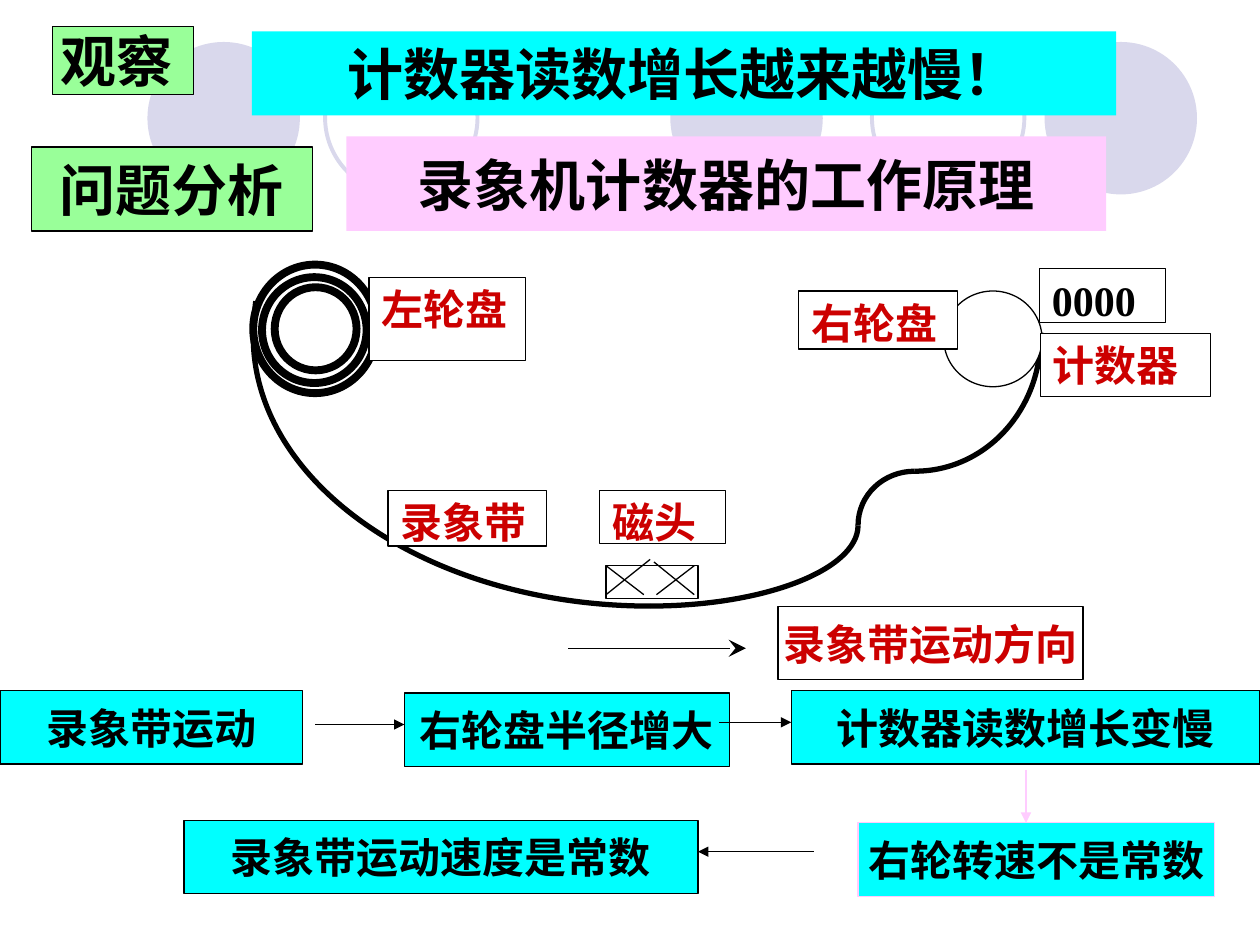
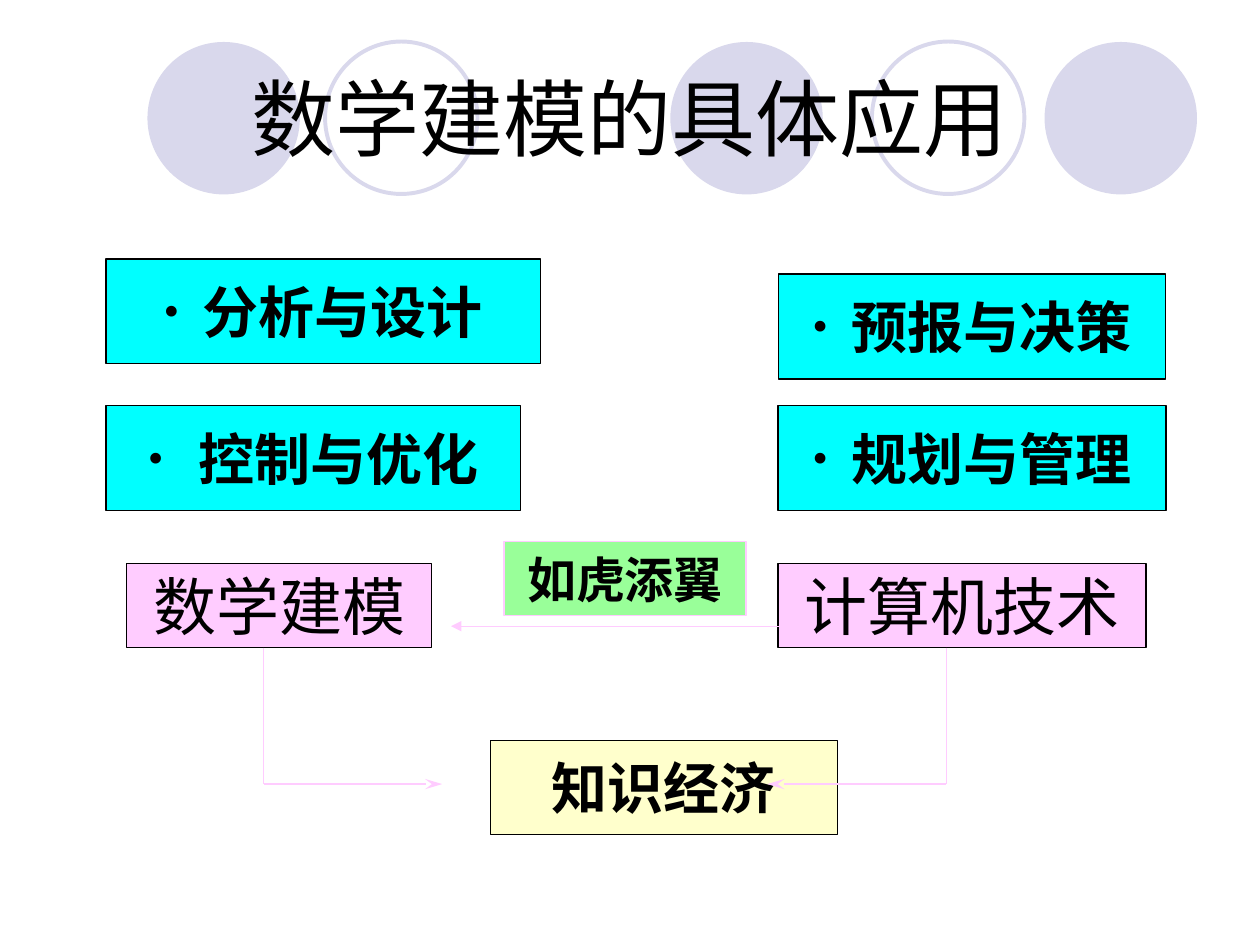
"""Two slides on a tape counter and on uses of mathematical modelling."""
from lxml import etree
from pptx import Presentation
from pptx import util as u
from pptx.dml.color import RGBColor
from pptx.enum import shapes, text
from pptx.oxml import ns

WIDTH, HEIGHT = u.Inches(10), u.Inches(7.5)
COLUMNS, ROWS = 100, 75
COLORS = {
    "ink": "000000", "paper": "FFFFFF", "red": "CC0000", "cyan": "00FFFF",
    "pink": "FFCCFF", "green": "99FF99", "cream": "FFFFCC", "lilac": "D9D8EC",
}
SANS, SERIF = "Noto Sans CJK SC", "Times New Roman"
THIN, TAPE, REEL = 0.75, 3, 4.5


def col(count):
    """Return the length of a number of grid columns."""
    return round(WIDTH * count / COLUMNS)


def row(count):
    """Return the length of a number of grid rows."""
    return round(HEIGHT * count / ROWS)


def rgb(name):
    """Return a named colour."""
    return RGBColor.from_string(COLORS[name])


def add_part(parent, tag, **attributes):
    """Append a drawing element to a parent element."""
    return etree.SubElement(parent, ns.qn(tag), attributes)


def paint(item, fill, outline, thickness):
    """Give a shape its fill and outline, without a shadow."""
    item.shadow.inherit = False
    if fill:
        item.fill.solid()
        item.fill.fore_color.rgb = rgb(fill)
    else:
        item.fill.background()
    if outline:
        item.line.color.rgb = rgb(outline)
        item.line.width = u.Pt(thickness)
    else:
        item.line.fill.background()


def outline_shape(slide, kind, place, fill="paper", outline="ink", thickness=THIN):
    """Add a preset shape at (left, top, width, height) in grid units."""
    left, top, width, height = place
    item = slide.shapes.add_shape(kind, col(left), row(top), col(width), row(height))
    paint(item, fill, outline, thickness)
    return item


def disc(slide, place, **look):
    """Add an ellipse."""
    return outline_shape(slide, shapes.MSO_SHAPE.OVAL, place, **look)


def write(item, words, size, color="ink", bold=True, font=SERIF,
          align=text.PP_ALIGN.CENTER, anchor=text.MSO_ANCHOR.MIDDLE, wrap=False):
    """Put one formatted paragraph into a shape and return it."""
    frame = item.text_frame
    frame.text = words
    frame.word_wrap = wrap
    frame.vertical_anchor = anchor
    paragraph = frame.paragraphs[0]
    paragraph.alignment = align
    for run in paragraph.runs:
        run.font.size = u.Pt(size)
        run.font.bold = bold
        run.font.name = font
        run.font.color.rgb = rgb(color)
        add_part(run.font._element, "a:ea", typeface=SANS)
    return paragraph


def panel(slide, words, place, fill, size=24, outline="ink", **style):
    """Add a filled box with centred text."""
    box = outline_shape(slide, shapes.MSO_SHAPE.RECTANGLE, place, fill, outline)
    return write(box, words, size, **style)


def label(slide, words, place, color="red"):
    """Add a white box whose text starts at its top left."""
    panel(slide, words, place, "paper", color=color, wrap=True,
          align=text.PP_ALIGN.JUSTIFY, anchor=text.MSO_ANCHOR.TOP)


def bullet_panel(slide, words, place, indent=3.1):
    """Add a cyan box with one hanging bullet."""
    settings = panel(slide, words, place, "cyan", 32)._p.get_or_add_pPr()
    settings.set("marL", str(col(indent)))
    settings.set("indent", str(-col(indent)))
    color = add_part(settings, "a:buClr")
    add_part(color, "a:srgbClr", val=COLORS["ink"])
    add_part(settings, "a:buSzPct", val="80000")
    add_part(settings, "a:buFont", typeface=SERIF)
    add_part(settings, "a:buChar", char="•")


def stroke(slide, start, end, color="ink", head=None, tail=None, breadth="med", reach="med"):
    """Add a straight line with optional arrowheads at its start and end."""
    line = slide.shapes.add_connector(
        shapes.MSO_CONNECTOR.STRAIGHT,
        col(start[0]), row(start[1]), col(end[0]), row(end[1]))
    line.line.color.rgb = rgb(color)
    line.line.width = u.Pt(THIN)
    outline = line.line._get_or_add_ln()
    for tag, arrow in (("a:headEnd", head), ("a:tailEnd", tail)):
        if arrow:
            add_part(outline, tag, type=arrow, w=breadth, len=reach)
    add_part(line._element.spPr, "a:effectLst")


def curve(slide, *points):
    """Draw a tape section from a start point and triples of Bezier points."""
    corners = [(col(x), row(y)) for x, y in points]
    builder = slide.shapes.build_freeform(*corners[0])
    builder.add_line_segments(corners[1:], close=False)
    section = builder.convert_to_shape()
    paint(section, "paper", "ink", TAPE)
    segments = list(section._element.iter(ns.qn("a:lnTo")))
    for first in range(0, len(segments), 3):
        bend = etree.Element(ns.qn("a:cubicBezTo"))
        segments[first].addprevious(bend)
        for segment in segments[first:first + 3]:
            bend.append(segment[0])
            segment.getparent().remove(segment)


def tape(slide):
    """Draw the tape from the left reel past the head to the right reel."""
    curve(slide, (51.6, 48.1), (34.2, 48.1), (20.1, 38.5), (20.1, 26.7),
          (20.1, 25.7), (20.2, 24.8), (20.3, 23.9))
    curve(slide, (51.6, 48.1), (60.7, 48.1), (68.1, 45.2), (68.1, 41.7))
    curve(slide, (72.6, 37.4), (78.2, 37.4), (82.6, 32.6), (82.6, 26.7),
          (82.6, 26.6), (82.6, 26.5), (82.6, 26.4))
    curve(slide, (72.6, 37.4), (70.1, 37.4), (68.1, 39.3), (68.1, 41.7))


def recorder(slide):
    """Draw the reels, tape, magnetic head and counter with their labels."""
    tape(slide)
    disc(slide, (20.1, 21, 9.8, 10.2), thickness=REEL)
    disc(slide, (74.9, 23.1, 7.8, 7.6))
    label(slide, "0000", (82.5, 21.3, 10, 4.3), "ink")
    for reel in ((20.8, 22, 8.3, 8.4), (21.8, 22.8, 6.5, 6.6)):
        disc(slide, reel, thickness=REEL)
    outline_shape(slide, shapes.MSO_SHAPE.RECTANGLE, (48.1, 44.9, 7.3, 2.6))
    for start, end in (((48.1, 47.2), (51.6, 44.4)), ((52.1, 47.2), (55.1, 44.9)),
                       ((48.1, 44.9), (51.1, 47.2)), ((51.9, 44.6), (55.1, 47.2))):
        stroke(slide, start, end)
    label(slide, "左轮盘", (29.3, 22, 12.4, 6.6))
    label(slide, "右轮盘", (63.4, 23.1, 12.6, 4.6))
    label(slide, "磁头", (47.6, 38.95, 10, 4.2))
    label(slide, "计数器", (82.55, 26.45, 13.5, 5))
    label(slide, "录象带", (30.8, 38.95, 12.6, 4.4))
    stroke(slide, (45.1, 51.45), (59.2, 51.45), tail="stealth", breadth="lg", reach="lg")
    panel(slide, "录象带运动方向", (61.75, 48.15, 24.2, 5.8), "paper", color="red")


def reasoning(slide):
    """Draw the chain of boxes from tape motion to constant speed."""
    for words, left, top, width, outline in (
            ("录象带运动", 0, 54.8, 24, "ink"),
            ("右轮盘半径增大", 32.1, 55, 25.8, "ink"),
            ("右轮转速不是常数", 68.1, 65.3, 28.3, "pink"),
            ("录象带运动速度是常数", 14.6, 65.1, 40.8, "ink"),
            ("计数器读数增长变慢", 62.8, 54.8, 37.2, "ink")):
        panel(slide, words, (left, top, width, 5.83), "cyan", outline=outline)
    for start, end, color in (((25, 57.5), (32.1, 57.5), "ink"),
                              ((81.43, 61.1), (81.43, 65.3), "pink"),
                              ((64.6, 67.6), (55.4, 67.6), "ink"),
                              ((57.1, 57.33), (62.8, 57.33), "ink")):
        stroke(slide, start, end, color, tail="triangle")


def backdrop(deck):
    """Add a blank slide with the row of lilac circles."""
    slide = deck.slides.add_slide(deck.slide_layouts[6])
    for left in (53.2, 82.9, 11.7):
        disc(slide, (left, 3.33, 12.1, 12.1), fill="lilac", outline=None)
    for left in (69.2, 25.8):
        disc(slide, (left, 3.3, 12.1, 12.1), fill=None, outline="lilac", thickness=2.25)
    return slide


def counter_slide(deck):
    """Build the slide on how the counter works."""
    slide = backdrop(deck)
    panel(slide, "问题分析", (2.5, 11.67, 22.3, 6.67), "green", 32, font=SANS)
    panel(slide, "录象机计数器的工作原理", (27.5, 10.83, 60.3, 7.5), "pink", 32, None)
    recorder(slide)
    reasoning(slide)
    panel(slide, "观察 ", (4.17, 2.1, 11.2, 5.4), "green", 32, font=SANS)
    panel(slide, "计数器读数增长越来越慢！", (20, 2.5, 68.6, 6.67), "cyan", 32, None)


def uses_slide(deck):
    """Build the slide on the uses of modelling."""
    slide = backdrop(deck)
    title = slide.shapes.add_textbox(col(5), row(3), col(90), row(12.5))
    write(title, "数学建模的具体应用", 48, bold=False, font=SANS, wrap=True)
    bullet_panel(slide, "分析与设计", (8.4, 20.55, 34.5, 8.33))
    bullet_panel(slide, "预报与决策", (61.8, 21.75, 30.7, 8.33))
    bullet_panel(slide, "控制与优化", (8.4, 32.2, 32.9, 8.33), 4)
    bullet_panel(slide, "规划与管理", (61.75, 32.2, 30.8, 8.33))
    panel(slide, "数学建模", (10.05, 44.7, 24.2, 6.67), "pink", 36, bold=False)
    panel(slide, "计算机技术", (61.75, 44.7, 29.2, 6.67), "pink", 36, bold=False)
    panel(slide, "知识经济", (38.95, 58.75, 27.5, 7.5), "cream", 32)
    for side, tip in ((20.93, 35.1), (75.1, 60.9)):
        stroke(slide, (side, 51.4), (side, 62.23), "pink")
        stroke(slide, (side, 62.23), (tip, 62.23), "pink", tail="stealth", reach="lg")
    stroke(slide, (35.8, 49.7), (63.3, 49.7), "pink", head="triangle", tail="triangle")
    panel(slide, "如虎添翼", (40, 43, 19.2, 5.83), "green", 28, "pink")


def main():
    """Build and save the deck."""
    deck = Presentation()
    deck.slide_width, deck.slide_height = WIDTH, HEIGHT
    counter_slide(deck)
    uses_slide(deck)
    deck.save("out.pptx")


if __name__ == "__main__":
    main()
